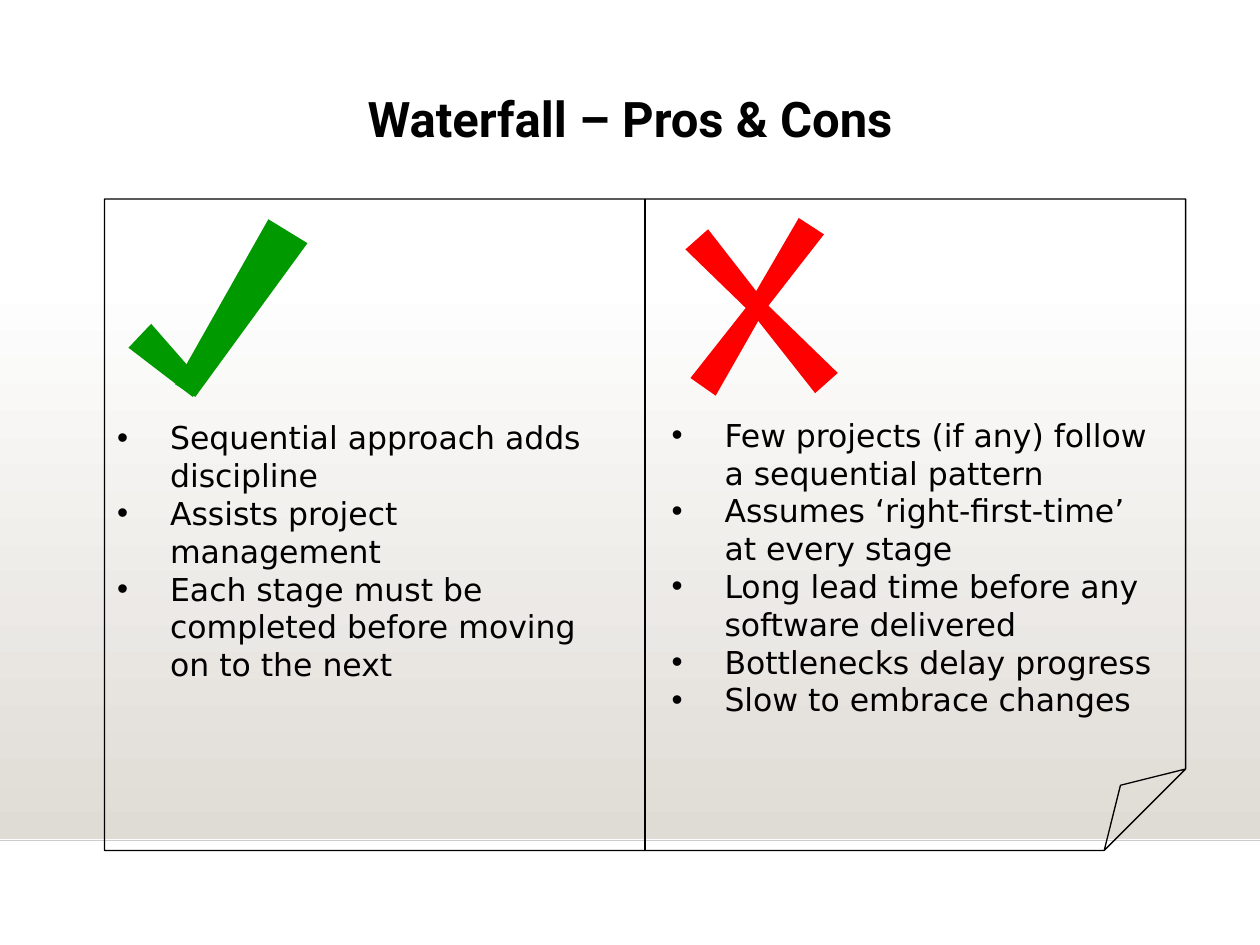
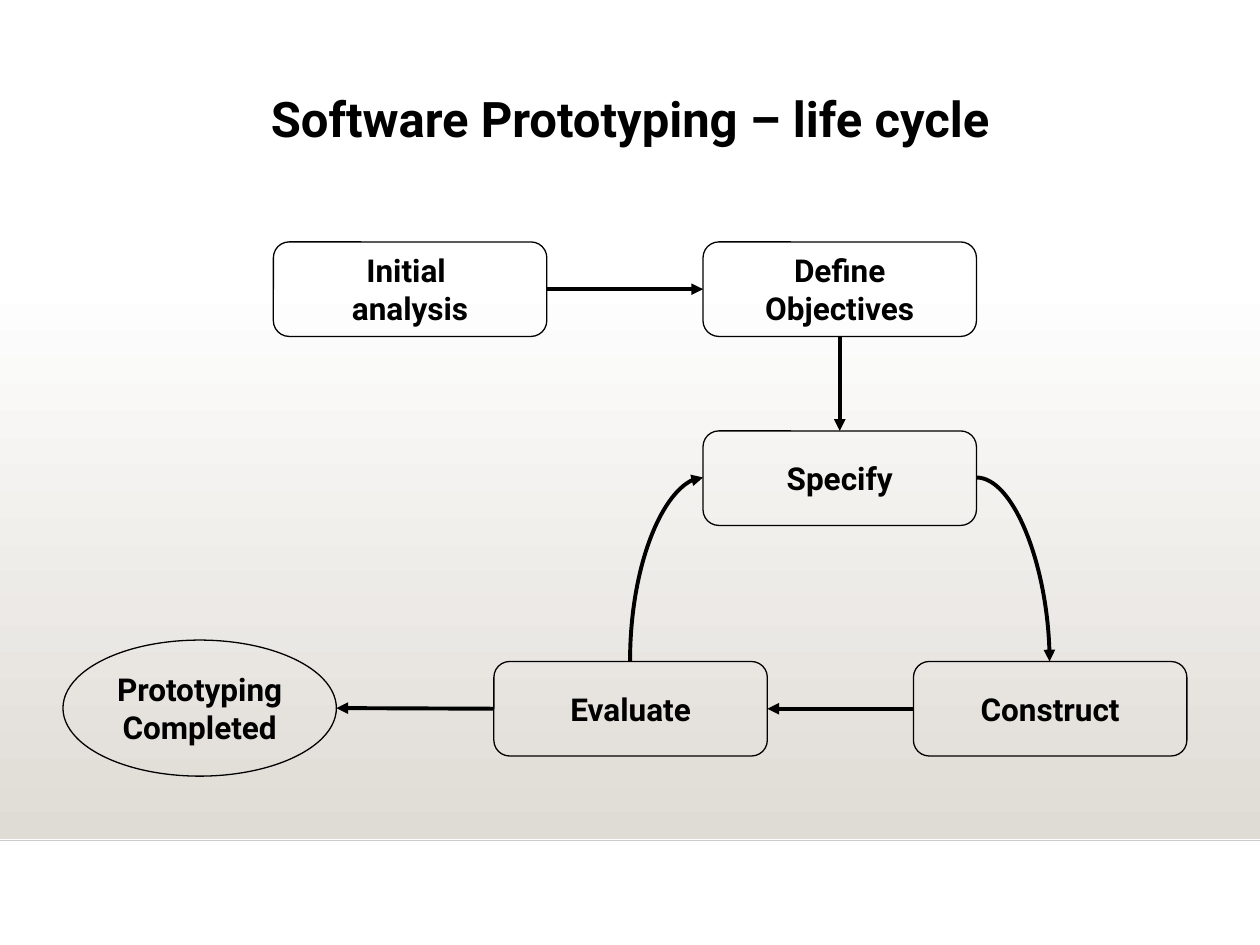
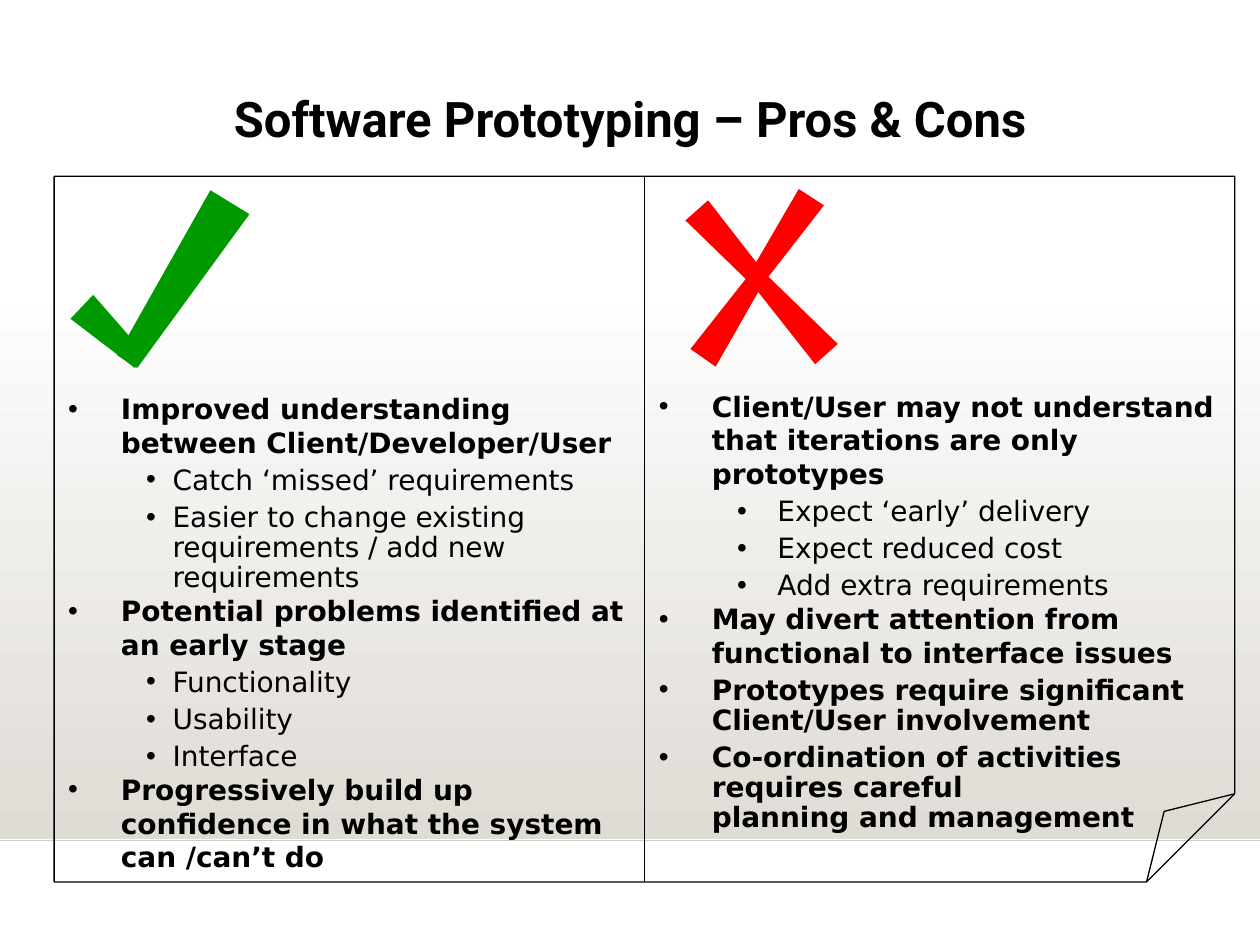
from copy import deepcopy

from lxml.etree import SubElement
from pptx import Presentation
from pptx.dml.color import RGBColor
from pptx.enum.shapes import MSO_CONNECTOR, MSO_SHAPE
from pptx.enum.text import MSO_ANCHOR, MSO_AUTO_SIZE, PP_ALIGN
from pptx.oxml.ns import qn
from pptx.util import Inches, Pt

BLACK = RGBColor(0x00, 0x00, 0x00)
WHITE = RGBColor(0xFF, 0xFF, 0xFF)
SAND = RGBColor(0xDF, 0xDB, 0xD5)
RULE_GREY = RGBColor(0xCC, 0xCC, 0xCC)
GREEN = RGBColor(0x00, 0x99, 0x00)
RED = RGBColor(0xFF, 0x00, 0x00)

TITLE_FONT = dict(name="Roboto", size=Pt(28), bold=True)
NODE_FONT = dict(name="Roboto", size=Pt(18), bold=True)
LIST_FONT = dict(name="DejaVu Sans", size=Pt(18), bold=False)
HEAD_FONT = dict(name="DejaVu Sans", size=Pt(16), bold=True)
SUB_FONT = dict(HEAD_FONT, bold=False)

LOOSE = dict(line_spacing=1.0, space_before=Pt(0))
TIGHT = dict(line_spacing=0.9, space_before=Pt(4))
POINT = dict(LOOSE, level=0)
TIGHT_POINT = dict(TIGHT, level=0)
SUB = dict(TIGHT, level=1)

TICK = [
    [(1.11, 0), (0.37, 1.31), (0.53, 1.41), (1.42, 0.19)],
    [(0, 1.02), (0.51, 1.41), (0.6, 1.31), (0.18, 0.83)],
]
CROSS = [
    [(0.9, 0), (0.44, 0.79), (0.54, 0.85), (1.1, 0.13)],
    [(0.04, 1.27), (0.6, 0.56), (0.69, 0.62), (0.24, 1.41)],
    [(0, 0.25), (0.66, 0.89), (0.74, 0.81), (0.18, 0.09)],
    [(1.03, 1.39), (0.47, 0.68), (0.56, 0.6), (1.21, 1.23)],
]

NODE_W, NODE_H = 2.17, 0.75


def set_format(obj, values):
    for name, value in values.items():
        setattr(obj, name, value)


def place(sp, left, top, width, height):
    set_format(sp, dict(left=Inches(left), top=Inches(top),
                        width=Inches(width), height=Inches(height)))


def write(p, text, font):
    p.text = text
    for r in p.runs:
        set_format(r.font, font)
        r.font.color.rgb = BLACK
    for br in p._p.findall(qn("a:br")):
        br.append(deepcopy(p.runs[0]._r.rPr))


def add_bullet(p, left, hang):
    pPr = p._p.get_or_add_pPr()
    pPr.set("marL", str(Inches(left)))
    pPr.set("indent", str(-Inches(hang)))
    SubElement(pPr, qn("a:buChar")).set("char", "•")


def add_outline(s, kind, left, top, width, height):
    sp = s.shapes.add_shape(kind, Inches(left), Inches(top), Inches(width), Inches(height))
    sp.shadow.inherit = False
    sp.fill.background()
    sp.line.color.rgb = BLACK
    sp.line.width = Pt(0.75)
    return sp


def add_line(s, start, end, color=BLACK, width=0.75, kind=MSO_CONNECTOR.STRAIGHT):
    line = s.shapes.add_connector(kind, *(Inches(v) for v in (*start, *end)))
    line.line.color.rgb = color
    line.line.width = Pt(width)
    SubElement(line.element.spPr, qn("a:effectLst"))
    return line


def add_arrow(s, start, end, kind=MSO_CONNECTOR.STRAIGHT):
    line = add_line(s, start, end, width=2.25, kind=kind)
    ln = line.element.spPr.find(qn("a:ln"))
    SubElement(ln, qn("a:tailEnd")).set("type", "triangle")
    return line


def add_link(s, source, source_side, target, target_side):
    arrow = add_arrow(s, (0, 0), (1, 1))
    arrow.begin_connect(source, source_side)
    arrow.end_connect(target, target_side)


def add_curve(s, start, end, turned=False):
    arrow = add_arrow(s, start, end, MSO_CONNECTOR.CURVE)
    arrow.element.spPr.find(qn("a:prstGeom")).set("prst", "curvedConnector2")
    if turned:
        arrow.element.spPr.find(qn("a:xfrm")).set("rot", str(90 * 60000))


def add_node(s, text, left, top, kind=MSO_SHAPE.ROUNDED_RECTANGLE, height=NODE_H):
    sp = add_outline(s, kind, left, top, NODE_W, height)
    tf = sp.text_frame
    set_format(tf, dict(word_wrap=False, vertical_anchor=MSO_ANCHOR.MIDDLE))
    p = tf.paragraphs[0]
    p.alignment = PP_ALIGN.CENTER
    write(p, text, NODE_FONT)
    return sp


def add_mark(s, strokes, color, left, top):
    group = s.shapes.add_group_shape()
    for stroke in strokes:
        points = [(Inches(left + x), Inches(top + y)) for x, y in stroke]
        builder = group.shapes.build_freeform(*points[0])
        builder.add_line_segments(points[1:], close=True)
        sp = builder.convert_to_shape()
        sp.shadow.inherit = False
        sp.fill.solid()
        sp.fill.fore_color.rgb = color
        sp.line.fill.background()


def add_panel(s, left, top, width, height):
    panel = add_outline(s, MSO_SHAPE.FOLDED_CORNER, left, top, width, height)
    fold = SubElement(panel.element.spPr.find(".//" + qn("a:avLst")), qn("a:gd"))
    fold.set("name", "adj")
    fold.set("fmla", "val 12500")
    divider = add_line(s, (0, 0), (1, 1))
    divider.begin_connect(panel, 0)
    divider.end_connect(panel, 2)


def fill_list(sp, box, items, point_font, sub_indent=(0.83, 0.21)):
    place(sp, *box)
    tf = sp.text_frame
    set_format(tf, dict(word_wrap=True, auto_size=MSO_AUTO_SIZE.NONE))
    for i, (text, style) in enumerate(items):
        p = tf.paragraphs[0] if i == 0 else tf.add_paragraph()
        set_format(p, style)
        is_sub = style["level"] == 1
        add_bullet(p, *(sub_indent if is_sub else (0.42, 0.42)))
        write(p, text, SUB_FONT if is_sub else point_font)


def add_slide(prs, layout, title):
    s = prs.slides.add_slide(prs.slide_layouts.get_by_name(layout))
    sp = s.shapes.title
    place(sp, 0, 0.58, 10, 0.71)
    tf = sp.text_frame
    set_format(tf, dict(auto_size=MSO_AUTO_SIZE.NONE, vertical_anchor=MSO_ANCHOR.MIDDLE))
    tf.paragraphs[0].alignment = PP_ALIGN.CENTER
    write(tf.paragraphs[0], title, TITLE_FONT)
    return s


def add_master_band(prs, s):
    band = add_outline(s, MSO_SHAPE.RECTANGLE, 0, 2.2, 10, 4.46)
    band.line.fill.background()
    band.fill.gradient()
    band.fill.gradient_angle = 270
    for stop, color, position in zip(band.fill.gradient_stops, (WHITE, SAND), (0, 1)):
        stop.color.rgb = color
        stop.position = position
    rule = add_line(s, (0, 6.67), (10, 6.67), RULE_GREY, 1)
    tree = prs.slide_master.shapes.element
    for i, sp in enumerate((band, rule)):
        sp.element.xpath(".//p:cNvPr")[0].set("id", str(101 + i))
        tree.insert(2 + i, sp.element)


def build_waterfall(prs):
    s = add_slide(prs, "Two Content", "Waterfall – Pros & Cons")
    add_master_band(prs, s)
    add_panel(s, 0.83, 1.58, 8.58, 5.17)
    add_mark(s, TICK, GREEN, 1.02, 1.74)
    add_mark(s, CROSS, RED, 5.44, 1.73)
    pros = [
        "Sequential approach adds discipline",
        "Assists project management",
        "Each stage must be completed before moving on to the next",
    ]
    cons = [
        "Few projects (if any) follow a sequential pattern",
        "Assumes ‘right-first-time’ at every stage",
        "Long lead time before any software delivered",
        "Bottlenecks delay progress",
        "Slow to embrace changes",
    ]
    fill_list(s.placeholders[1], (0.83, 3.27, 4.08, 2.58),
              [(text, POINT) for text in pros], LIST_FONT)
    fill_list(s.placeholders[2], (5.23, 3.25, 4.02, 2.5),
              [(text, POINT) for text in cons], LIST_FONT)


def build_life_cycle(prs):
    s = add_slide(prs, "Title Only", "Software Prototyping – life cycle")
    analysis = add_node(s, "Initial \nanalysis", 2.17, 1.92)
    objectives = add_node(s, "Define\nObjectives", 5.58, 1.92)
    specify = add_node(s, "Specify", 5.58, 3.42)
    evaluate = add_node(s, "Evaluate", 3.92, 5.25)
    construct = add_node(s, "Construct", 7.25, 5.25)
    add_node(s, "Prototyping\nCompleted", 0.5, 5.08, MSO_SHAPE.OVAL, 1.08)
    add_link(s, analysis, 3, objectives, 1)
    add_link(s, objectives, 2, specify, 0)
    add_link(s, construct, 1, evaluate, 3)
    finish = add_arrow(s, (3.92, 5.62), (2.67, 5.62))
    finish.begin_connect(evaluate, 1)
    add_curve(s, (6.02, 4.81), (4.56, 4.23), turned=True)
    add_curve(s, (7.75, 3.79), (8.33, 5.25))


def build_prototyping(prs):
    s = add_slide(prs, "Two Content", "Software Prototyping – Pros & Cons")
    add_panel(s, 0.43, 1.4, 9.37, 5.6)
    add_mark(s, TICK, GREEN, 0.56, 1.51)
    add_mark(s, CROSS, RED, 5.44, 1.5)
    pros = [
        ("Improved understanding between Client/Developer/User", POINT),
        ("Catch ‘missed’ requirements", SUB),
        ("Easier to change existing requirements / add new requirements", SUB),
        ("Potential problems identified at an early stage", POINT),
        ("Functionality", SUB),
        ("Usability", SUB),
        ("Interface", SUB),
        ("Progressively build up confidence in what the system can /can’t do", POINT),
    ]
    cons = [
        ("Client/User may not understand that iterations are only prototypes", POINT),
        ("Expect ‘early’ delivery", SUB),
        ("Expect reduced cost", SUB),
        ("Add extra requirements", SUB),
        ("May divert attention from functional to interface issues", POINT),
        ("Prototypes require significant \nClient/User involvement", TIGHT_POINT),
        ("Co-ordination of activities requires careful \nplanning and management", TIGHT_POINT),
    ]
    fill_list(s.placeholders[1], (0.44, 3.06, 4.69, 3.66), pros, HEAD_FONT)
    fill_list(s.placeholders[2], (5.13, 3.04, 4.66, 3.36), cons, HEAD_FONT, (0.94, 0.32))


def main():
    prs = Presentation()
    prs.slide_width, prs.slide_height = Inches(10), Inches(7.5)
    build_waterfall(prs)
    build_life_cycle(prs)
    build_prototyping(prs)
    prs.save("out.pptx")


if __name__ == "__main__":
    main()
